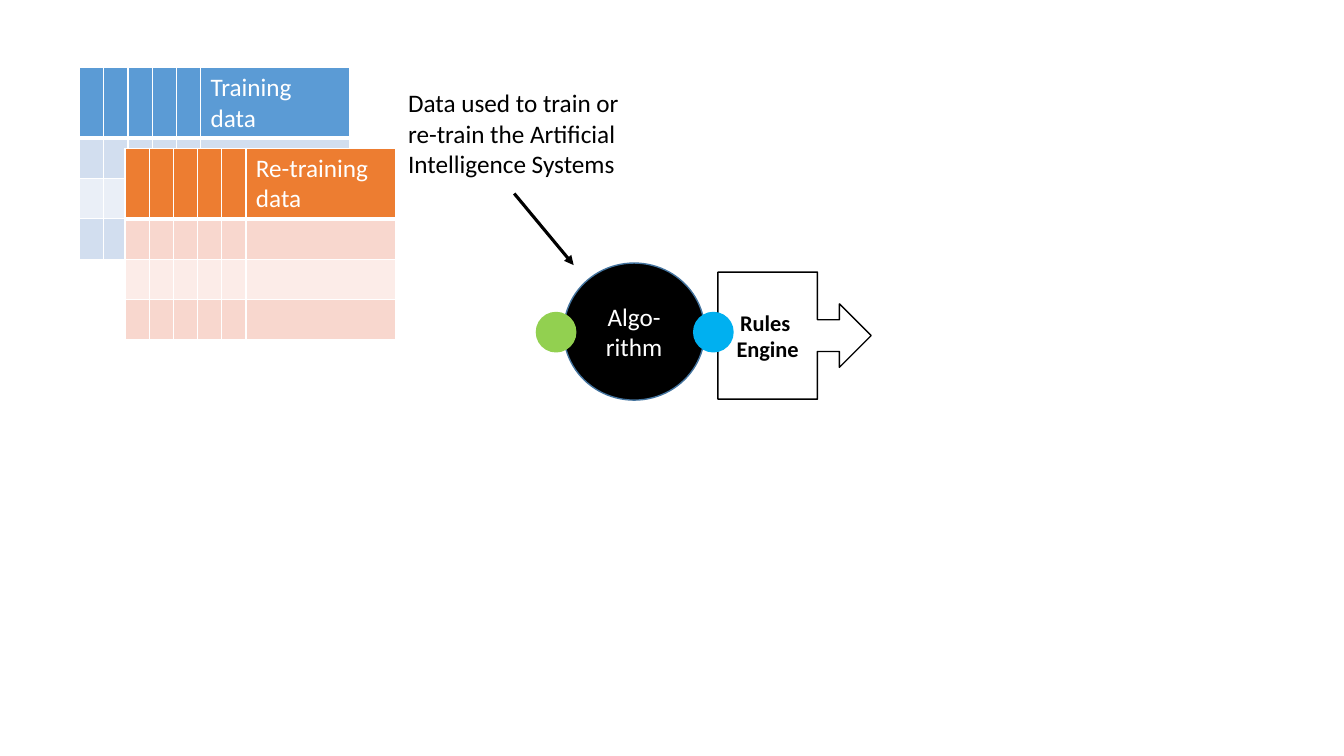
from lxml import etree
from pptx import Presentation
from pptx.dml.color import RGBColor
from pptx.enum.shapes import MSO_CONNECTOR as Connector, MSO_SHAPE as Shape
from pptx.enum.text import MSO_ANCHOR as Anchor, MSO_AUTO_SIZE as AutoSize, PP_ALIGN as Align
from pptx.oxml.ns import qn
from pptx.util import Inches, Pt

# Content: lengths in inches
CAPTION = ["Data used to train or", "re-train the Artificial", "Intelligence Systems"]
CAPTION_BOX = (3.95, 0.82, 2.34, 1.01)
ARROW = (5.1, 1.92, 5.69, 2.63)
TABLES = [
    {"title": "Training data", "at": (0.79, 0.67), "colors": ("blue", "blue_mid", "blue_pale")},
    {"title": "Re-training data", "at": (1.24, 1.47), "colors": ("orange", "orange_mid", "orange_pale")},
]
COLUMNS = [0.24] * 5 + [1.48]
ROWS = [0.7] + [0.4] * 3
SHAPES = [
    {"kind": Shape.RIGHT_ARROW_CALLOUT, "box": (7.12, 2.7, 1.52, 1.26), "fill": "white",
     "line": "black", "lines": ["Rules ", "Engine"],
     "format": {"size": "small", "color": "black", "bold": True}},
    {"kind": Shape.OVAL, "box": (5.59, 2.61, 1.4, 1.36), "fill": "black",
     "line": "outline", "lines": ["Algo-rithm"], "format": {"color": "white"}},
    {"kind": Shape.OVAL, "box": (5.32, 3.1, 0.39, 0.39), "fill": "green", "line": "green"},
    {"kind": Shape.OVAL, "box": (6.88, 3.1, 0.39, 0.39), "fill": "cyan", "line": "cyan"},
]

THEME = {
    "font": "Calibri",
    "sizes": {"body": 18, "small": 16},
    "colors": {
        "white": "FFFFFF", "black": "000000", "outline": "43739E",
        "green": "92D050", "cyan": "00B0F0",
        "blue": "5B9BD5", "blue_mid": "D2DEEF", "blue_pale": "EAEFF7",
        "orange": "ED7D31", "orange_mid": "F8D7CE", "orange_pale": "FCECE8",
    },
}


def rgb(name):
    return RGBColor.from_string(THEME["colors"][name])


def inches(values):
    return [Inches(value) for value in values]


def write_text(frame, lines, size="body", color="black", bold=False, align=Align.LEFT):
    for index, line in enumerate(lines):
        paragraph = frame.paragraphs[0] if index == 0 else frame.add_paragraph()
        paragraph.alignment = align
        run = paragraph.add_run()
        run.text = line
        run.font.name = THEME["font"]
        run.font.size = Pt(THEME["sizes"][size])
        run.font.bold = bold
        run.font.color.rgb = rgb(color)


def add_caption(slide):
    frame = slide.shapes.add_textbox(*inches(CAPTION_BOX)).text_frame
    frame.word_wrap = False
    frame.auto_size = AutoSize.SHAPE_TO_FIT_TEXT
    write_text(frame, CAPTION)


def add_arrow(slide):
    arrow = slide.shapes.add_connector(Connector.STRAIGHT, *inches(ARROW))
    arrow.line.color.rgb = rgb("black")
    arrow.line.width = Pt(2.25)
    etree.SubElement(arrow.line._get_or_add_ln(), qn("a:tailEnd"), type="triangle")
    etree.SubElement(arrow._element.spPr, qn("a:effectLst"))


def add_part(slide, part):
    shape = slide.shapes.add_shape(part["kind"], *inches(part["box"]))
    shape.shadow.inherit = False
    shape.fill.solid()
    shape.fill.fore_color.rgb = rgb(part["fill"])
    shape.line.color.rgb = rgb(part["line"])
    shape.line.width = Pt(1)
    if "lines" in part:
        shape.text_frame.word_wrap = True
        shape.text_frame.vertical_anchor = Anchor.MIDDLE
        write_text(shape.text_frame, part["lines"], align=Align.CENTER, **part["format"])


def set_borders(cell, bottom):
    properties = cell._tc.get_or_add_tcPr()
    for index, (side, width) in enumerate(zip("LRTB", (1, 1, 1, bottom))):
        line = etree.Element(qn("a:ln" + side), w=str(Pt(width)))
        fill = etree.SubElement(line, qn("a:solidFill"))
        etree.SubElement(fill, qn("a:srgbClr"), val=THEME["colors"]["white"])
        properties.insert(index, line)


def add_data_table(slide, data):
    header, odd, even = data["colors"]
    size = inches((sum(COLUMNS), sum(ROWS)))
    table = slide.shapes.add_table(len(ROWS), len(COLUMNS), *inches(data["at"]), *size).table
    for column, width in zip(table.columns, COLUMNS):
        column.width = Inches(width)
    for row_index, (row, height) in enumerate(zip(table.rows, ROWS)):
        row.height = Inches(height)
        color = header if row_index == 0 else odd if row_index % 2 else even
        for cell in row.cells:
            cell.fill.solid()
            cell.fill.fore_color.rgb = rgb(color)
            set_borders(cell, bottom=3 if row_index == 0 else 1)
    write_text(table.cell(0, len(COLUMNS) - 1).text_frame, [data["title"]], color="white")


def main():
    presentation = Presentation()
    presentation.slide_width, presentation.slide_height = inches((13.33, 7.5))
    slide = presentation.slides.add_slide(presentation.slide_layouts[6])

    # Caption pointing at the algorithm
    add_caption(slide)
    add_arrow(slide)

    # Algorithm, its ports and the rules engine
    for part in SHAPES:
        add_part(slide, part)

    # Overlapping data tables
    for data in TABLES:
        add_data_table(slide, data)

    presentation.save("out.pptx")


if __name__ == "__main__":
    main()
